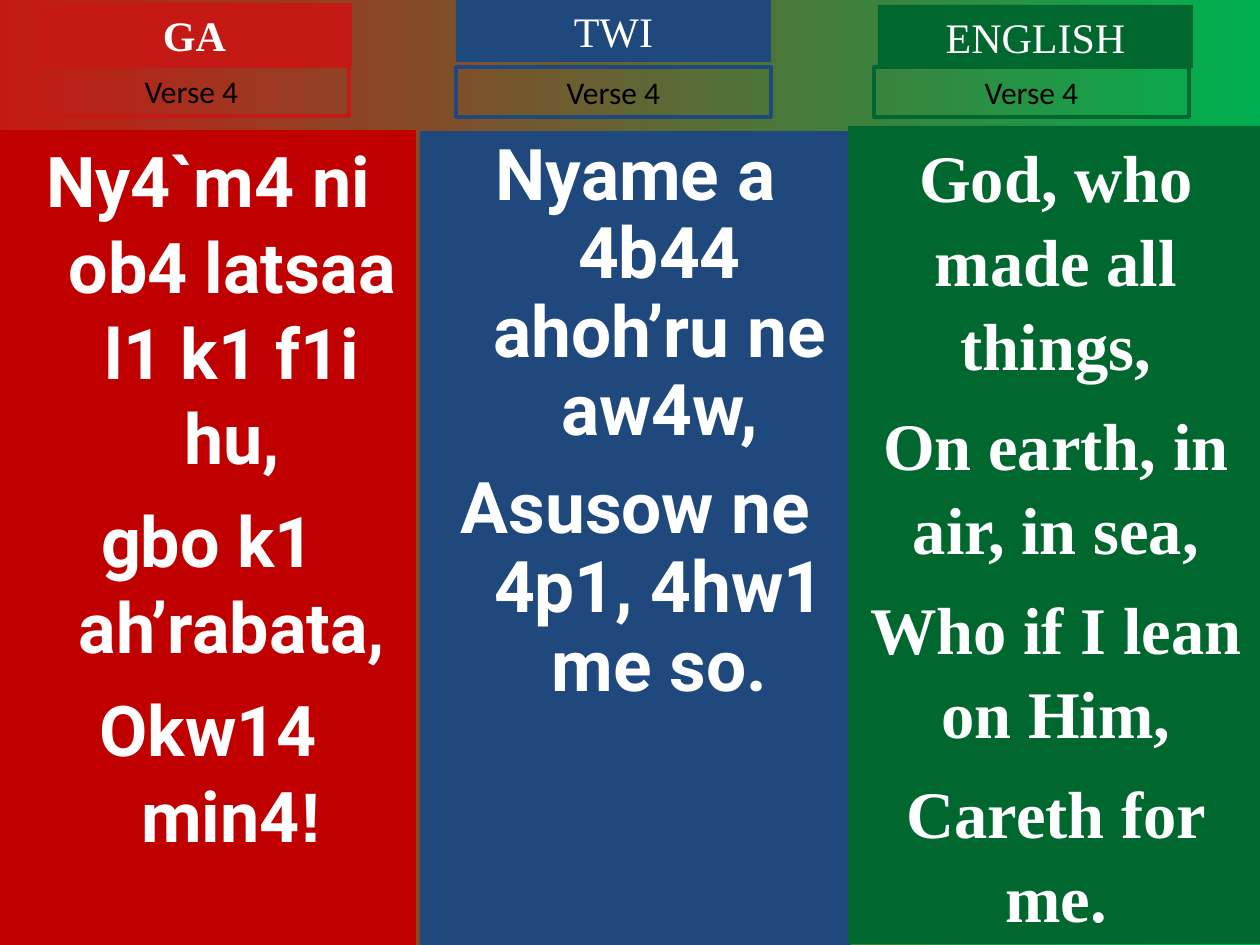
from dataclasses import dataclass

from pptx import Presentation
from pptx import util as u
from pptx.dml.color import RGBColor
from pptx.enum import shapes, text

PX = 914400 / 126
RED, DEEP_RED, BLUE, GREEN = "C51915", "C00000", "1F497D", "00682F"
WHITE, BLACK = "FFFFFF", "000000"
SERIF, SANS, LABEL = "Times New Roman", "Roboto", "Calibri"


@dataclass
class Box:
    left: int
    top: int
    width: int
    height: int


@dataclass
class Style:
    font: str
    size: float
    color: str = WHITE
    bold: bool = False
    before: float = 0
    spacing: float = 1.0
    hanging: int = 0


@dataclass
class Header:
    name: str
    color: str
    bold: bool
    title_left: int
    title_top: int
    verse_left: int
    verse_top: int


@dataclass
class Lyrics:
    box: Box
    color: str
    style: Style
    lines: list[list[tuple[str, str]]]  # paragraphs of (wording, font)


def px(value: int) -> int:
    return u.Emu(round(value * PX))


def rgb(value: str) -> RGBColor:
    return RGBColor.from_string(value)


def add_box(page, box: Box, fill: str | None = None, line: str | None = None):
    shape = page.shapes.add_shape(
        shapes.MSO_SHAPE.RECTANGLE,
        px(box.left), px(box.top), px(box.width), px(box.height))
    shape.shadow.inherit = False
    if fill:
        shape.fill.solid()
        shape.fill.fore_color.rgb = rgb(fill)
    else:
        shape.fill.background()
    if line:
        shape.line.color.rgb = rgb(line)
        shape.line.width = u.Pt(2.25)
    else:
        shape.line.fill.background()
    return shape


def write(shape, lines: list[list[tuple[str, str]]], style: Style) -> None:
    frame = shape.text_frame
    frame.word_wrap = True
    frame.vertical_anchor = text.MSO_ANCHOR.TOP
    for index, runs in enumerate(lines):
        para = frame.paragraphs[0] if index == 0 else frame.add_paragraph()
        para.alignment = text.PP_ALIGN.CENTER
        para.line_spacing = style.spacing
        if index:
            para.space_before = u.Pt(style.before)
        if style.hanging:
            props = para._p.get_or_add_pPr()
            props.set("marL", str(px(style.hanging)))
            props.set("indent", str(-px(style.hanging)))
        for wording, font in runs:
            span = para.add_run()
            span.text = wording
            span.font.name = font
            span.font.size = u.Pt(style.size)
            span.font.bold = style.bold
            span.font.color.rgb = rgb(style.color)


def add_lyrics(page, lyrics: Lyrics) -> None:
    write(add_box(page, lyrics.box, fill=lyrics.color), lyrics.lines, lyrics.style)


def add_header(page, header: Header) -> None:
    title = add_box(page, Box(header.title_left, header.title_top, 315, 63),
                    fill=header.color)
    write(title, [[(header.name, SERIF)]], Style(SERIF, 24, bold=header.bold))
    verse = add_box(page, Box(header.verse_left, header.verse_top, 315, 50),
                    line=header.color)
    write(verse, [[("Verse 4", LABEL)]], Style(LABEL, 18, BLACK))
    for shape in (title, verse):
        shape.text_frame.auto_size = text.MSO_AUTO_SIZE.SHAPE_TO_FIT_TEXT


LYRICS = [
    Lyrics(Box(0, 130, 416, 815), DEEP_RED,
           Style(SANS, 40, bold=True, before=10, spacing=1.02, hanging=48),
           [[("Ny4`m4 ni ob4 latsaa l1 k1 f1i hu,", SANS)],
            [("gbo k1 ah’rabata,", SANS)],
            [("Okw14 min4", SANS), ("!", "Arial")]]),
    Lyrics(Box(420, 131, 431, 814), BLUE,
           Style(SANS, 40.7, bold=True, before=11, spacing=0.92, hanging=48),
           [[("Nyame a 4b44 ahoh’ru ne aw4w,", SANS)],
            [("Asusow ne 4p1, 4hw1 me so.", SANS)]]),
    Lyrics(Box(848, 126, 416, 818), GREEN,
           Style(SERIF, 38, bold=True, before=9.5, spacing=1.05),
           [[("God, who made all things,", SERIF)],
            [("On earth, in air, in sea,", SERIF)],
            [("Who if I lean on Him,", SERIF)],
            [("Careth for me.", SERIF)]]),
]

HEADERS = [
    Header("GA", RED, True, 37, 3, 34, 66),
    Header("TWI", BLUE, False, 456, -1, 456, 67),
    Header("ENGLISH", GREEN, False, 878, 5, 874, 67),
]


def main() -> None:
    deck = Presentation()
    deck.slide_width, deck.slide_height = px(1260), px(945)
    page = deck.slides.add_slide(deck.slide_layouts[6])

    # Background: red to green, left to right
    back = page.background.fill
    back.gradient()
    back.gradient_angle = 0
    for stop, color, position in zip(back.gradient_stops, (RED, "00B050"), (0, 1)):
        stop.color.rgb = rgb(color)
        stop.position = position

    # Language columns, then their headings
    for lyrics in LYRICS:
        add_lyrics(page, lyrics)
    for header in HEADERS:
        add_header(page, header)

    deck.save("out.pptx")


if __name__ == "__main__":
    main()
